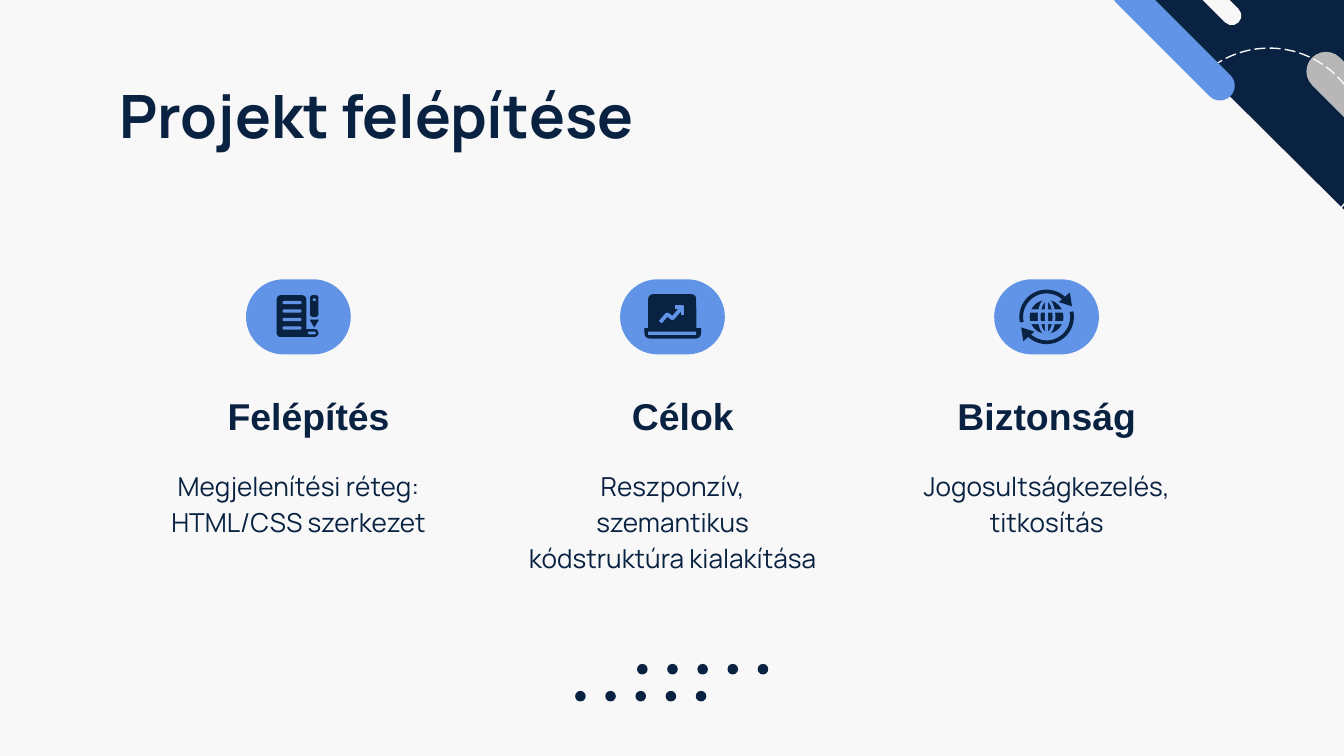
from math import cos, radians, sin

from pptx import Presentation
from pptx.dml.color import RGBColor
from pptx.enum.dml import MSO_LINE
from pptx.enum.shapes import MSO_SHAPE
from pptx.enum.text import MSO_ANCHOR, PP_ALIGN
from pptx.util import Cm, Pt

NAVY = RGBColor(0x09, 0x22, 0x41)
BLUE = RGBColor(0x61, 0x94, 0xE6)
GREY = RGBColor(0xB7, 0xB7, 0xB7)
PAPER = RGBColor(0xF8, 0xF8, 0xF8)

CARD_PITCH = 7.07
DOT_PITCH = 0.57


def add_part(slide, preset, box, color, rotation=0, roundness=None):
    part = slide.shapes.add_shape(preset, *(Cm(length) for length in box))
    part.shadow.inherit = False
    part.rotation = rotation
    if roundness is not None:
        part.adjustments[0] = roundness
    part.fill.solid()
    part.fill.fore_color.rgb = color
    part.line.fill.background()
    return part


def add_outline(slide, points, color, width=None):
    corners = [(Cm(x), Cm(y)) for x, y in points]
    builder = slide.shapes.build_freeform(*corners[0])
    builder.add_line_segments(corners[1:], close=width is None)
    outline = builder.convert_to_shape()
    outline.shadow.inherit = False
    if width is None:
        outline.fill.solid()
        outline.fill.fore_color.rgb = color
        outline.line.fill.background()
    else:
        outline.fill.background()
        outline.line.color.rgb = color
        outline.line.width = Pt(width)


def add_text(slide, box, text, size, font, bold=False, align=PP_ALIGN.CENTER,
             anchor=MSO_ANCHOR.TOP, spacing=1.0, hanging=False):
    frame = slide.shapes.add_textbox(*(Cm(length) for length in box)).text_frame
    frame.word_wrap = True
    frame.vertical_anchor = anchor
    frame.margin_left = frame.margin_right = Cm(0.25)
    frame.margin_top = frame.margin_bottom = Cm(0.25)
    paragraph = frame.paragraphs[0]
    paragraph.alignment = align
    paragraph.line_spacing = spacing
    if hanging:
        properties = paragraph._p.get_or_add_pPr()
        properties.set("marL", str(Cm(1.27)))
        properties.set("indent", str(Cm(-0.89)))
    run = paragraph.add_run()
    run.text = text
    run.font.size = Pt(size)
    run.font.name = font
    run.font.bold = bold
    run.font.color.rgb = NAVY


def add_corner(slide, left, top):
    add_part(slide, MSO_SHAPE.RIGHT_TRIANGLE, (left, top, 4.32, 4.29), NAVY, 180)

    def add_stripe(x, y, width, height, color):
        add_part(slide, MSO_SHAPE.ROUNDED_RECTANGLE,
                 (left + x, top + y, width, height), color, 45, 0.5)

    add_stripe(3.07, 2, 3.2, 0.74, GREY)
    orbit = add_part(slide, MSO_SHAPE.OVAL, (left + 0.91, top + 1.06, 3.63, 3.63), PAPER)
    orbit.fill.background()
    orbit.line.color.rgb = PAPER
    orbit.line.width = Pt(0.75)
    orbit.line.dash_style = MSO_LINE.LONG_DASH
    add_stripe(-0.61, 0.61, 3.05, 0.56, BLUE)
    add_stripe(0.33, -0.36, 2.13, 0.36, PAPER)


def add_dots(slide, left, top):
    for row_left, row_top in ((left + 1.17, top), (left, top + 0.51)):
        for column in range(5):
            add_part(slide, MSO_SHAPE.OVAL,
                     (row_left + column * DOT_PITCH, row_top, 0.2, 0.2), NAVY)


def add_document_icon(slide, left, top):
    def add_bar(x, y, width, height, color, roundness=0.5):
        add_part(slide, MSO_SHAPE.ROUNDED_RECTANGLE,
                 (left + x, top + y, width, height), color, roundness=roundness)

    add_bar(0.58, 0.3, 0.56, 0.79, NAVY, 0.14)
    add_bar(0.58, 0.94, 0.79, 0.15, NAVY)
    for row in range(4):
        add_bar(0.69, 0.41 + row * 0.16, 0.36, 0.06, BLUE)
    add_bar(1.17, 0.99, 0.15, 0.05, BLUE)
    add_bar(1.21, 0.3, 0.16, 0.41, NAVY, 0.3)
    add_bar(1.26, 0.36, 0.06, 0.05, BLUE)
    add_part(slide, MSO_SHAPE.ISOSCELES_TRIANGLE,
             (left + 1.2, top + 0.76, 0.18, 0.15), NAVY, 180)


def add_laptop_icon(slide, left, top):
    add_part(slide, MSO_SHAPE.ROUND_2_SAME_RECTANGLE,
             (left + 0.53, top + 0.28, 0.91, 0.66), NAVY, roundness=0.14)
    add_part(slide, MSO_SHAPE.ROUND_2_SAME_RECTANGLE,
             (left + 0.46, top + 0.92, 1.07, 0.2), NAVY, 180, 0.5)
    add_part(slide, MSO_SHAPE.RECTANGLE, (left + 0.53, top + 0.99, 0.91, 0.06), BLUE)
    trend = ((0.76, 0.81), (0.89, 0.66), (0.99, 0.74), (1.18, 0.52))
    arrowhead = ((1.03, 0.52), (1.18, 0.52), (1.18, 0.68))
    for points in (trend, arrowhead):
        add_outline(slide, [(left + x, top + y) for x, y in points], BLUE, 2)


def add_globe_icon(slide, left, top):
    center_x, center_y = left + 0.99, top + 0.71
    for turn, sign in ((0, 1), (180, -1)):
        angles = [radians(angle + turn) for angle in range(168, 316, 7)]
        add_outline(slide, [(center_x + 0.48 * cos(angle), center_y + 0.48 * sin(angle))
                            for angle in angles], NAVY, 2)
        arrowhead = ((0.23, -0.28), (0.44, -0.46), (0.48, -0.2))
        add_outline(slide, [(center_x + sign * x, center_y + sign * y)
                            for x, y in arrowhead], NAVY)
    add_part(slide, MSO_SHAPE.OVAL, (center_x - 0.32, center_y - 0.32, 0.64, 0.64), NAVY)
    meridian = add_part(slide, MSO_SHAPE.OVAL,
                        (center_x - 0.14, center_y - 0.32, 0.28, 0.64), NAVY)
    meridian.line.color.rgb = BLUE
    meridian.line.width = Pt(1.5)
    add_part(slide, MSO_SHAPE.RECTANGLE,
             (center_x - 0.03, center_y - 0.32, 0.06, 0.64), BLUE)
    for offset in (-0.14, 0.08):
        add_part(slide, MSO_SHAPE.RECTANGLE,
                 (center_x - 0.32, center_y + offset, 0.64, 0.06), BLUE)


def add_card(slide, left, top, heading, body, add_icon, hanging):
    add_part(slide, MSO_SHAPE.ROUNDED_RECTANGLE,
             (left + 2.03, top, 1.98, 1.42), BLUE, roundness=0.5)
    add_icon(slide, left + 2.03, top)
    add_text(slide, (left, top + 2.06, 6.05, 1.19), heading, 20, "Arial", bold=True,
             anchor=MSO_ANCHOR.BOTTOM, hanging=hanging)
    add_text(slide, (left, top + 3.28, 6.05, 2.41), body, 14, "Manrope", spacing=1.15)


def main():
    presentation = Presentation()
    presentation.slide_width = Cm(25.4)
    presentation.slide_height = Cm(14.29)
    slide = presentation.slides.add_slide(presentation.slide_layouts[6])
    slide.background.fill.solid()
    slide.background.fill.fore_color.rgb = PAPER

    add_corner(slide, 21.26, -0.15)
    add_dots(slide, 10.87, 12.55)
    add_text(slide, (2.01, 1.24, 21.41, 1.6), "Projekt felépítése", 32, "Manrope",
             bold=True, align=PP_ALIGN.LEFT)
    cards = (
        ("Felépítés", "Megjelenítési réteg: HTML/CSS szerkezet", add_document_icon, True),
        ("Célok", "Reszponzív, szemantikus kódstruktúra kialakítása", add_laptop_icon, True),
        ("Biztonság", "Jogosultságkezelés, titkosítás", add_globe_icon, False),
    )
    for column, card in enumerate(cards):
        add_card(slide, 2.62 + column * CARD_PITCH, 5.28, *card)

    presentation.save("out.pptx")


if __name__ == "__main__":
    main()
